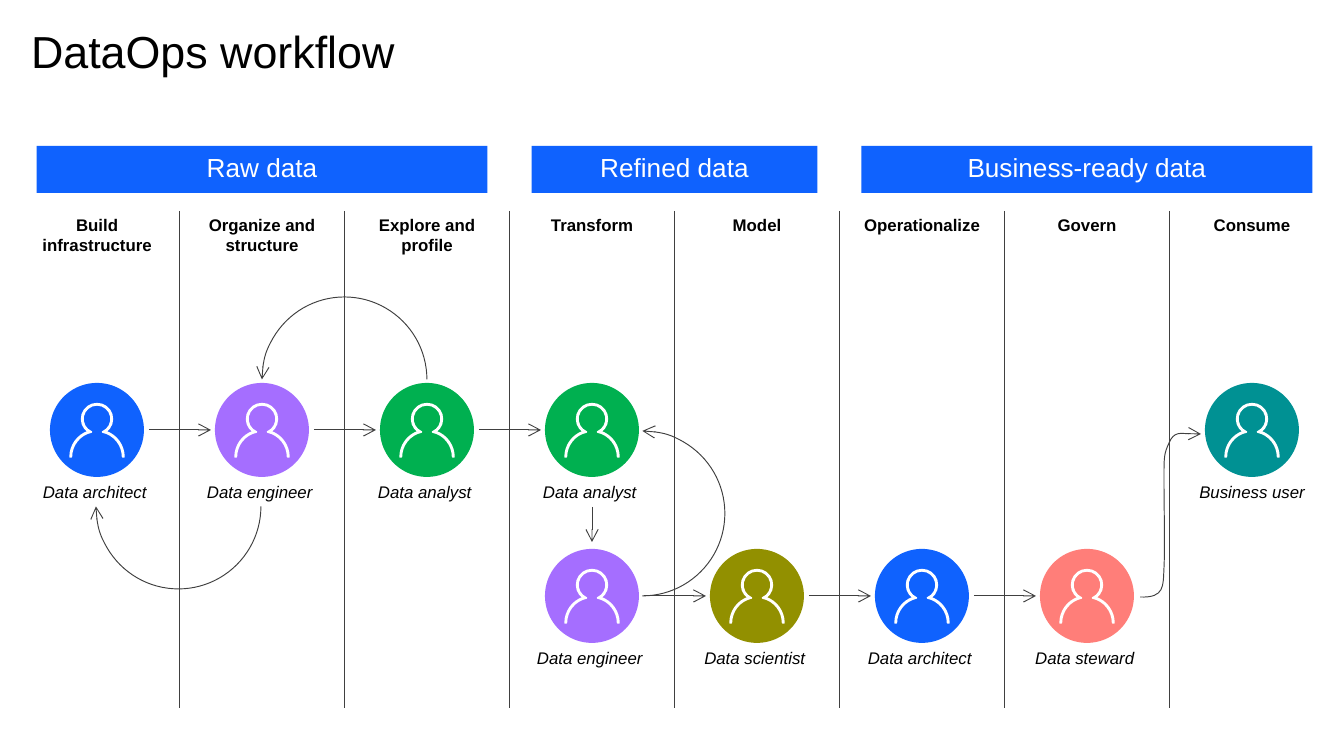
from dataclasses import dataclass
from math import ceil, cos, radians, sin, tan

from lxml import etree
from pptx import Presentation
from pptx import util as u
from pptx.dml.color import RGBColor
from pptx.enum import dml, shapes, text
from pptx.oxml.ns import qn

EMU_PER_PX = 914400 / 134.4
SLIDE_SIZE = 1344, 756


@dataclass(frozen=True)
class Theme:
    font: str = "Arial"
    title_size: int = 24
    banner_size: int = 14
    label_size: int = 9
    ink: str = "000000"
    white: str = "FFFFFF"
    line: str = "404040"
    blue: str = "0F62FE"
    purple: str = "A56EFF"
    green: str = "00B050"
    olive: str = "929000"
    coral: str = "FF7E79"
    teal: str = "009193"


THEME = Theme()

COLUMN_X, COLUMN_PITCH, COLUMN_WIDTH = 97, 165, 121
ROW_Y = 430, 596
CIRCLE = 94
ARROW_START, ARROW_LENGTH = 52, 62

STAGES = ["Build infrastructure", "Organize and structure", "Explore and profile",
          "Transform", "Model", "Operationalize", "Govern", "Consume"]
# text, first column, last column
BANNERS = [("Raw data", 0, 2), ("Refined data", 3, 4), ("Business-ready data", 5, 7)]
# role, column, row, colour
PEOPLE = [
    ("Data architect ", 0, 0, THEME.blue),
    ("Data engineer ", 1, 0, THEME.purple),
    ("Data analyst ", 2, 0, THEME.green),
    ("Data analyst ", 3, 0, THEME.green),
    ("Data scientist ", 4, 1, THEME.olive),
    ("Data architect ", 5, 1, THEME.blue),
    ("Data steward ", 6, 1, THEME.coral),
    ("Business user", 7, 0, THEME.teal),
    ("Data engineer ", 3, 1, THEME.purple),
]
# column, row of the person each straight arrow leaves
STEPS = [(0, 0), (1, 0), (2, 0), (3, 1), (4, 1), (5, 1)]
# left, top, start angle, end angle, end that has the arrowhead
LOOPS = [
    (262, 297, 180, 0, "headEnd"),
    (96, 424, 0, 180, "tailEnd"),
    (560, 431, 270, 90, "headEnd"),
]
# centre y, radius, start angle, end angle, relative to the circle centre
PERSON_ARCS = [
    (27, 25.5, 0, -77), (-11, 14, 67, -247), (27, 25.5, -103, -180),
    (27, 27, -180, -109), (-11, 15.5, 125, 415), (27, 27, -71, 0),
]
HANDOVER_START = (1140, 597)
HANDOVER_CURVES = [
    [(1165, 598), (1163, 586), (1164, 568)],
    [(1165, 549), (1164, 504), (1164, 480)],
    [(1164, 456), (1164, 454), (1169, 443)],
    [(1174, 431), (1189, 434), (1201, 434)],
]


def px(value):
    return u.Emu(round(value * EMU_PER_PX))


def box(*lengths):
    return [px(length) for length in lengths]


def column_x(column):
    return COLUMN_X + column * COLUMN_PITCH


def apply(target, values):
    for name, value in values.items():
        setattr(target, name, value)


def write(shape, content, size, color=THEME.ink, align=text.PP_ALIGN.CENTER,
          anchor=text.MSO_ANCHOR.TOP, auto_size=text.MSO_AUTO_SIZE.NONE,
          spacing=None, bold=False, italic=False):
    frame = shape.text_frame
    apply(frame, dict(margin_left=0, margin_right=0, margin_top=0, margin_bottom=0,
                      word_wrap=True, vertical_anchor=anchor, auto_size=auto_size))
    paragraph = frame.paragraphs[0]
    apply(paragraph, dict(text=content, alignment=align, line_spacing=spacing))
    font = paragraph.runs[0].font
    apply(font, dict(name=THEME.font, size=u.Pt(size), bold=bold, italic=italic))
    font.color.rgb = RGBColor.from_string(color)


def fill(shape, color):
    shape.shadow.inherit = False
    shape.fill.solid()
    shape.fill.fore_color.rgb = RGBColor.from_string(color)
    shape.line.fill.background()


def stroke(shape, width=0.5, dash=None, arrow_end=None):
    shape.line.color.rgb = RGBColor.from_string(THEME.line)
    apply(shape.line, dict(width=u.Pt(width), dash_style=dash))
    if arrow_end:
        outline = shape._element.spPr.find(qn("a:ln"))
        etree.SubElement(outline, qn(f"a:{arrow_end}"), type="arrow")


def add_line(slide, start, end, **style):
    line = slide.shapes.add_connector(shapes.MSO_CONNECTOR.STRAIGHT, *box(*start, *end))
    stroke(line, **style)
    etree.SubElement(line._element.spPr, qn("a:effectLst"))


def add_label(slide, content, column, top, height, **style):
    left = column_x(column) - COLUMN_WIDTH / 2
    label = slide.shapes.add_textbox(*box(left, top, COLUMN_WIDTH, height))
    write(label, content, THEME.label_size,
          auto_size=text.MSO_AUTO_SIZE.SHAPE_TO_FIT_TEXT, **style)


def add_outline(container, start, segments, close):
    """Draw a freeform; a segment is one point (line) or three (cubic curve)."""
    builder = container.shapes.build_freeform(*box(*start), scale=1.0)
    builder.add_line_segments([box(*segment[-1]) for segment in segments], close=close)
    shape = builder.convert_to_shape()
    shape.shadow.inherit = False
    lines = list(shape._element.spPr.iter(qn("a:lnTo")))
    for line, segment in zip(lines, segments):
        if len(segment) == 3:
            curve = etree.Element(qn("a:cubicBezTo"))
            for x, y in segment:
                etree.SubElement(curve, qn("a:pt"), x=str(px(x) - shape.left),
                                 y=str(px(y) - shape.top))
            line.getparent().replace(line, curve)
    return shape


def arc_segments(x, y, radius, start, end):
    """A line to the start of the arc, then curves of at most 90 degrees."""
    pieces = ceil(abs(end - start) / 90)
    step = radians((end - start) / pieces)
    handle = 4 / 3 * tan(step / 4)

    def at(angle, pull=0):
        return (x + radius * (cos(angle) - pull * sin(angle)),
                y + radius * (sin(angle) + pull * cos(angle)))

    angles = [radians(start) + i * step for i in range(pieces)]
    return [[at(angles[0])]] + [
        [at(angle, handle), at(angle + step, -handle), at(angle + step)]
        for angle in angles]


def add_person(slide, role, column, row, color):
    x, y = column_x(column), ROW_Y[row]
    group = slide.shapes.add_group_shape()
    circle = group.shapes.add_shape(
        shapes.MSO_SHAPE.OVAL, *box(x - CIRCLE / 2, y - CIRCLE / 2, CIRCLE, CIRCLE))
    fill(circle, color)
    (start,), *segments = [segment for centre_y, *arc in PERSON_ARCS
                           for segment in arc_segments(x, y + centre_y, *arc)]
    person = add_outline(group, start, segments, close=True)
    fill(person, THEME.white)
    person.line.color.rgb = RGBColor.from_string(THEME.white)
    person.line.width = 0
    add_label(slide, role, column, y + 52, 20, italic=True)


def add_banner(slide, content, first, last):
    width = (last - first) * COLUMN_PITCH + COLUMN_WIDTH
    banner = slide.shapes.add_shape(
        shapes.MSO_SHAPE.RECTANGLE,
        *box(column_x(first) - COLUMN_WIDTH / 2, 146, width, 47))
    fill(banner, THEME.blue)
    write(banner, content, THEME.banner_size, THEME.white,
          anchor=text.MSO_ANCHOR.MIDDLE, spacing=0.9)


def add_loop(slide, left, top, start, end, arrow_end):
    loop = slide.shapes.add_shape(
        shapes.MSO_SHAPE.ARC, *box(left, top, COLUMN_PITCH, COLUMN_PITCH))
    loop.shadow.inherit = False
    for index, angle in enumerate((start, end)):
        loop.adjustments[index] = angle * 0.6  # 60000 per degree over 100000
    loop.fill.background()
    stroke(loop, arrow_end=arrow_end)


def add_handover(slide):
    handover = add_outline(slide, HANDOVER_START, HANDOVER_CURVES, close=False)
    handover.fill.background()
    stroke(handover, arrow_end="tailEnd")


def main():
    presentation = Presentation()
    presentation.slide_width, presentation.slide_height = box(*SLIDE_SIZE)
    slide = presentation.slides.add_slide(presentation.slide_layouts[5])
    title = slide.shapes.title
    apply(title, dict(zip(("left", "top", "width", "height"), box(31, 30, 609, 118))))
    write(title, "DataOps workflow", THEME.title_size,
          align=text.PP_ALIGN.LEFT, spacing=0.9)

    for person in PEOPLE:
        add_person(slide, *person)
    for banner in BANNERS:
        add_banner(slide, *banner)
    for column, stage in enumerate(STAGES):
        add_label(slide, stage, column, 215, 40 if " " in stage else 20, bold=True)
    for column in range(len(STAGES) - 1):
        x = column_x(column) + COLUMN_PITCH / 2
        add_line(slide, (x, 211), (x, 708), width=0.25, dash=dml.MSO_LINE.ROUND_DOT)
    for column, row in STEPS:
        x, y = column_x(column) + ARROW_START, ROW_Y[row]
        add_line(slide, (x, y), (x + ARROW_LENGTH, y), arrow_end="tailEnd")
    add_line(slide, (column_x(3), 507), (column_x(3), 542), arrow_end="tailEnd")
    for loop in LOOPS:
        add_loop(slide, *loop)
    add_handover(slide)
    presentation.save("out.pptx")


if __name__ == "__main__":
    main()
